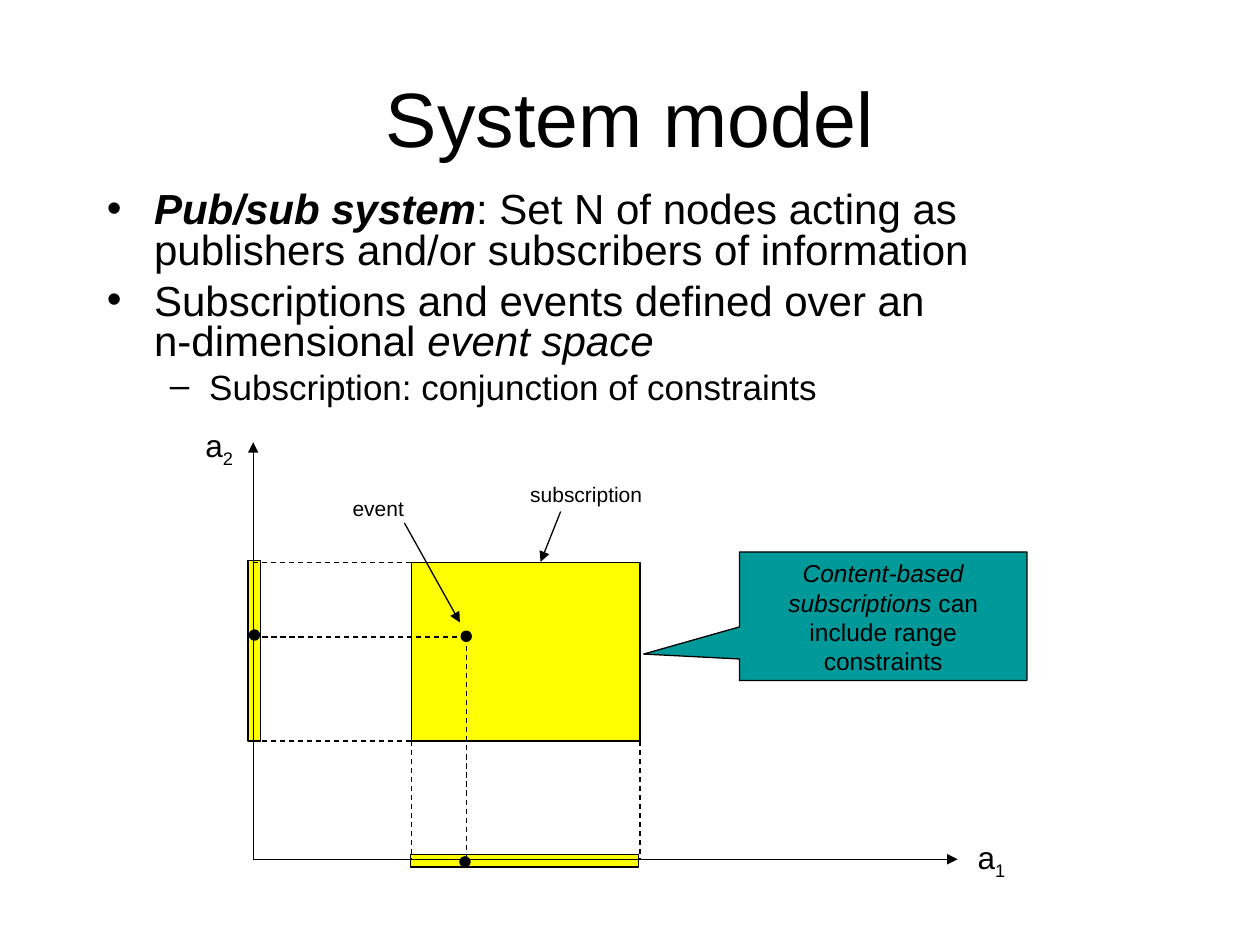
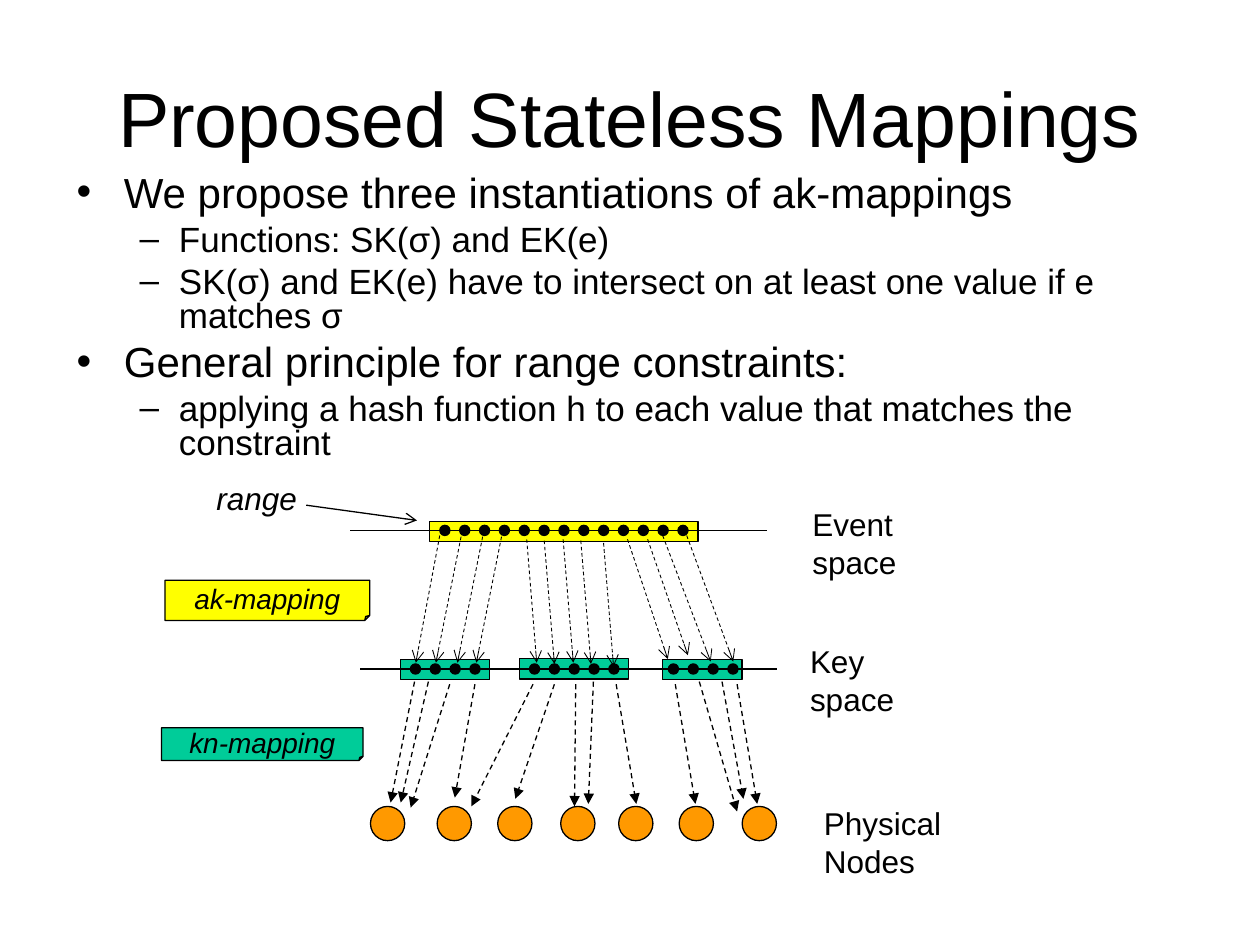
import lxml.etree
import pptx
import pptx.dml.color
import pptx.enum.dml
import pptx.enum.shapes
import pptx.enum.text
import pptx.oxml.ns
import pptx.util

Pt = pptx.util.Pt
RGBColor = pptx.dml.color.RGBColor
SHAPE = pptx.enum.shapes.MSO_SHAPE
ALIGN = pptx.enum.text.PP_ALIGN
ANCHOR = pptx.enum.text.MSO_ANCHOR
qn = pptx.oxml.ns.qn

BLACK = RGBColor(0x00, 0x00, 0x00)
YELLOW = RGBColor(0xFF, 0xFF, 0x00)
TEAL = RGBColor(0x00, 0x99, 0x99)
GREEN = RGBColor(0x00, 0xCC, 0x99)
ORANGE = RGBColor(0xFF, 0x99, 0x00)
FONT = "Arial"
DOT = 5.8

# Bullet levels: sign, text size, left margin, hanging indent, space before
LEVELS = [("•", 24, 27, 27, 6), ("–", 20, 58.5, 22.5, 5)]

# Arrows of the mappings: x and y at the start, x and y at the tip
AK_LINKS = [
    (251.3, 306, 237.6, 378.7), (263.5, 306.7, 249.1, 378.7),
    (275.8, 306.7, 261.4, 378.7), (286.6, 306.7, 272.2, 378.7),
    (301, 308.2, 306.7, 378.7), (311, 308.9, 316.8, 379.4),
    (321.8, 308.2, 327.6, 378.7), (331.9, 308.9, 337.7, 379.4),
    (344.9, 310.3, 350.6, 380.9), (358.6, 308.2, 381.6, 376.6),
    (370.1, 308.2, 393.1, 374.4), (378.7, 306, 406.1, 378),
    (392.4, 306, 419, 378),
]
KN_LINKS = [
    (236.9, 389.5, 223.2, 458.6), (244.8, 389.5, 229, 458.6),
    (257, 391, 234.7, 461.5), (271.4, 391, 259.9, 455.8),
    (316.8, 391, 294.5, 456.5), (304.6, 391, 269.3, 460.8),
    (329, 391, 328.3, 460.8), (339.1, 389.5, 336.2, 459.4),
    (352.1, 391, 363.6, 459.4), (385.9, 391, 397.4, 459.4),
    (421.2, 391, 432.7, 459.4), (412.6, 389.5, 424.8, 456.5),
    (399.6, 389.5, 421.2, 463.7),
]


def write(para, text, size=18, bold=False, slant=False, sub=False):
    """Add one run; a newline in the text becomes a line break."""
    for i, part in enumerate(text.split("\n")):
        if i:
            para.add_line_break()
        run = para.add_run()
        run.text = part
        font = run.font
        font.name, font.size = FONT, Pt(size)
        font.bold, font.italic = bold, slant
        font.color.rgb = BLACK
        if sub:
            run._r.get_or_add_rPr().set("baseline", "-25000")


def start(deck, title):
    """Add a slide with its title."""
    slide = deck.slides.add_slide(deck.slide_layouts[5])
    head = slide.shapes.title
    head.left, head.top, head.width, head.height = Pt(36), Pt(21.6), Pt(648), Pt(90)
    head.text_frame.vertical_anchor = ANCHOR.MIDDLE
    para = head.text_frame.paragraphs[0]
    para.alignment = ALIGN.CENTER
    write(para, title, size=44)
    return slide


def points(slide, x, y, w, h, items):
    """Bulleted text; items hold a level and a list of (text, format) runs."""
    frame = slide.shapes.add_textbox(Pt(x), Pt(y), Pt(w), Pt(h)).text_frame
    frame.word_wrap = True
    for i, (level, runs) in enumerate(items):
        sign, size, left, hang, gap = LEVELS[level]
        para = frame.add_paragraph() if i else frame.paragraphs[0]
        props = para._p.get_or_add_pPr()
        props.set("marL", str(Pt(left)))
        props.set("indent", str(-Pt(hang)))
        color = lxml.etree.SubElement(props, qn("a:buClr"))
        lxml.etree.SubElement(color, qn("a:srgbClr")).set("val", str(BLACK))
        lxml.etree.SubElement(props, qn("a:buFont")).set("typeface", FONT)
        lxml.etree.SubElement(props, qn("a:buChar")).set("char", sign)
        para.level = level
        para.line_spacing = 0.8
        if i:
            para.space_before = Pt(gap)
        for text, form in runs:
            write(para, text, size=size, **form)


def shape(slide, kind, x, y, w, h, fill):
    item = slide.shapes.add_shape(kind, Pt(x), Pt(y), Pt(w), Pt(h))
    item.shadow.inherit = False
    item.fill.solid()
    item.fill.fore_color.rgb = fill
    item.line.color.rgb = BLACK
    item.line.width = Pt(0.75)
    return item


def dot(slide, x, y):
    """Black dot centred at x, y."""
    shape(slide, SHAPE.OVAL, x - DOT / 2, y - DOT / 2, DOT, DOT, BLACK)


def line(slide, x1, y1, x2, y2, dash=False, tip=None, width=0.75):
    kind = pptx.enum.shapes.MSO_CONNECTOR.STRAIGHT
    item = slide.shapes.add_connector(kind, Pt(x1), Pt(y1), Pt(x2), Pt(y2))
    item.line.color.rgb = BLACK
    item.line.width = Pt(width)
    if dash:
        item.line.dash_style = pptx.enum.dml.MSO_LINE.DASH
    props = item._element.spPr
    if tip:
        lxml.etree.SubElement(props.find(qn("a:ln")), qn("a:tailEnd")).set("type", tip)
    lxml.etree.SubElement(props, qn("a:effectLst"))


def label(slide, x, y, w, h, text, sub="", **form):
    frame = slide.shapes.add_textbox(Pt(x), Pt(y), Pt(w), Pt(h)).text_frame
    frame.word_wrap = False
    frame.auto_size = pptx.enum.text.MSO_AUTO_SIZE.SHAPE_TO_FIT_TEXT
    write(frame.paragraphs[0], text, **form)
    if sub:
        write(frame.paragraphs[0], sub, sub=True, **form)


def note(slide, x, y, w, h, text, fill):
    """Folded note that names a mapping."""
    item = shape(slide, SHAPE.FOLDED_CORNER, x, y, w, h, fill)
    # The library lists no adjustment for this preset, so set the fold in XML
    folds = next(item._element.iter(qn("a:avLst")))
    fold = lxml.etree.SubElement(folds, qn("a:gd"))
    fold.set("name", "adj")
    fold.set("fmla", "val 12500")
    frame = item.text_frame
    frame.word_wrap = False
    frame.vertical_anchor = ANCHOR.MIDDLE
    frame.paragraphs[0].alignment = ALIGN.CENTER
    write(frame.paragraphs[0], text, size=16, slant=True)


def model(deck):
    slide = start(deck, "System model")
    points(slide, 54, 106.6, 612, 133.9, [
        (0, [("Pub/sub system", {"bold": True, "slant": True}),
             (": Set N of nodes acting as publishers and/or subscribers"
              " of information", {})]),
        (0, [("Subscriptions and events defined over an \nn-dimensional ", {}),
             ("event space", {"slant": True})]),
        (1, [("Subscription: conjunction of constraints", {})]),
    ])

    # Ranges on the axes, axes and subscription area
    ox, oy = 144.7, 491
    left, right, top, base = 235, 365.8, 321.5, 423.4
    ex, ey = 266.4, 364
    shape(slide, SHAPE.RECTANGLE, 141.8, 320.4, 7.2, 103, YELLOW)
    shape(slide, SHAPE.RECTANGLE, 234.7, 488.2, 130.3, 7.2, YELLOW)
    line(slide, ox, oy, 547.2, oy, tip="triangle")
    line(slide, ox, oy, ox, 252.7, tip="triangle")
    shape(slide, SHAPE.RECTANGLE, left, top, right - left, base - top, YELLOW)

    # Projections onto the axes
    for x, y in [(left, base), (right, base), (ex, ey)]:
        line(slide, x, y, x, oy, dash=True)
    for x, y in [(left, base), (left, top), (ex, ey)]:
        line(slide, x, y, ox, y, dash=True)
    for x, y in [(ex, 363.6), (145.4, 362.9), (265.7, 492.5)]:
        dot(slide, x, y)

    # Labels and their arrows
    line(slide, 231.1, 298.8, 262.8, 355.7, tip="triangle")
    line(slide, 320.4, 292.3, 308.9, 321.1, tip="triangle")
    label(slide, 194.4, 279.4, 43.9, 21.6, "event", size=12)
    label(slide, 295.9, 271.4, 78.5, 21.6, "subscription", size=12)
    label(slide, 551.5, 475.2, 30.2, 31.7, "a", sub="1")
    label(slide, 110.2, 239.8, 30.2, 31.7, "a", sub="2")

    # Callout
    call = shape(slide, SHAPE.RECTANGULAR_CALLOUT, 422.6, 315.4, 164.2, 73.4, TEAL)
    call.adjustments[0], call.adjustments[1] = -0.834, 0.295
    frame = call.text_frame
    frame.word_wrap = True
    frame.vertical_anchor = ANCHOR.TOP
    para = frame.paragraphs[0]
    para.alignment = ALIGN.CENTER
    write(para, "Content-based subscriptions", size=14, slant=True)
    write(para, " can include range constraints", size=14)


def mappings(deck):
    slide = start(deck, "Proposed Stateless Mappings")
    points(slide, 36.7, 97.2, 648, 186.5, [
        (level, [(text, {})]) for level, text in [
            (0, "We propose three instantiations of ak-mappings"),
            (1, "Functions: SK(σ) and EK(e)"),
            (1, "SK(σ) and EK(e) have to intersect on at least one value"
                " if e matches σ"),
            (0, "General principle for range constraints:"),
            (1, "applying a hash function h to each value that matches"
                " the constraint"),
        ]])

    # Event space and key space: bars, axes and evenly spaced values
    step, events, keys = 11.34, 303.1, 382.3
    shape(slide, SHAPE.RECTANGLE, 245.5, 298.1, 153.4, 11.5, YELLOW)
    for x, y, w in [(228.8, 377, 51.1), (296.8, 376.5, 62.4), (378.6, 377, 45.4)]:
        shape(slide, SHAPE.RECTANGLE, x, y, w, 11.5, GREEN)
    line(slide, 200.2, events, 438.5, events)
    line(slide, 205.9, keys, 444.2, keys)
    for i in range(13):
        dot(slide, 254.2 + i * step, events)
    for i in [*range(4), *range(6, 11), *range(13, 17)]:
        dot(slide, 237.4 + i * step, keys)

    # Physical nodes
    for x in [211.7, 249.8, 284.4, 320.4, 353.5, 388.1, 424.1]:
        shape(slide, SHAPE.OVAL, x, 460.8, 19.6, 19.6, ORANGE)

    # Mapping arrows
    for link in AK_LINKS:
        line(slide, *link, dash=True, tip="arrow", width=0.5)
    for link in KN_LINKS:
        line(slide, *link, dash=True, tip="triangle")

    # Labels
    label(slide, 457.2, 285.1, 113, 28.8, "Event space")
    label(slide, 455.8, 363.6, 97.9, 28.8, "Key space")
    label(slide, 463.7, 455.8, 138.2, 28.8, "Physical Nodes")
    label(slide, 116.6, 270, 60.5, 28.8, "range", slant=True)
    line(slide, 175, 288.7, 238.3, 297.4, tip="arrow")
    note(slide, 94.3, 331.6, 117, 23, "ak-mapping", YELLOW)
    note(slide, 92.3, 415.9, 115.2, 18.7, "kn-mapping", GREEN)


def main():
    deck = pptx.Presentation()
    deck.slide_width, deck.slide_height = Pt(720), Pt(540)
    model(deck)
    mappings(deck)
    deck.save("out.pptx")


if __name__ == "__main__":
    main()
